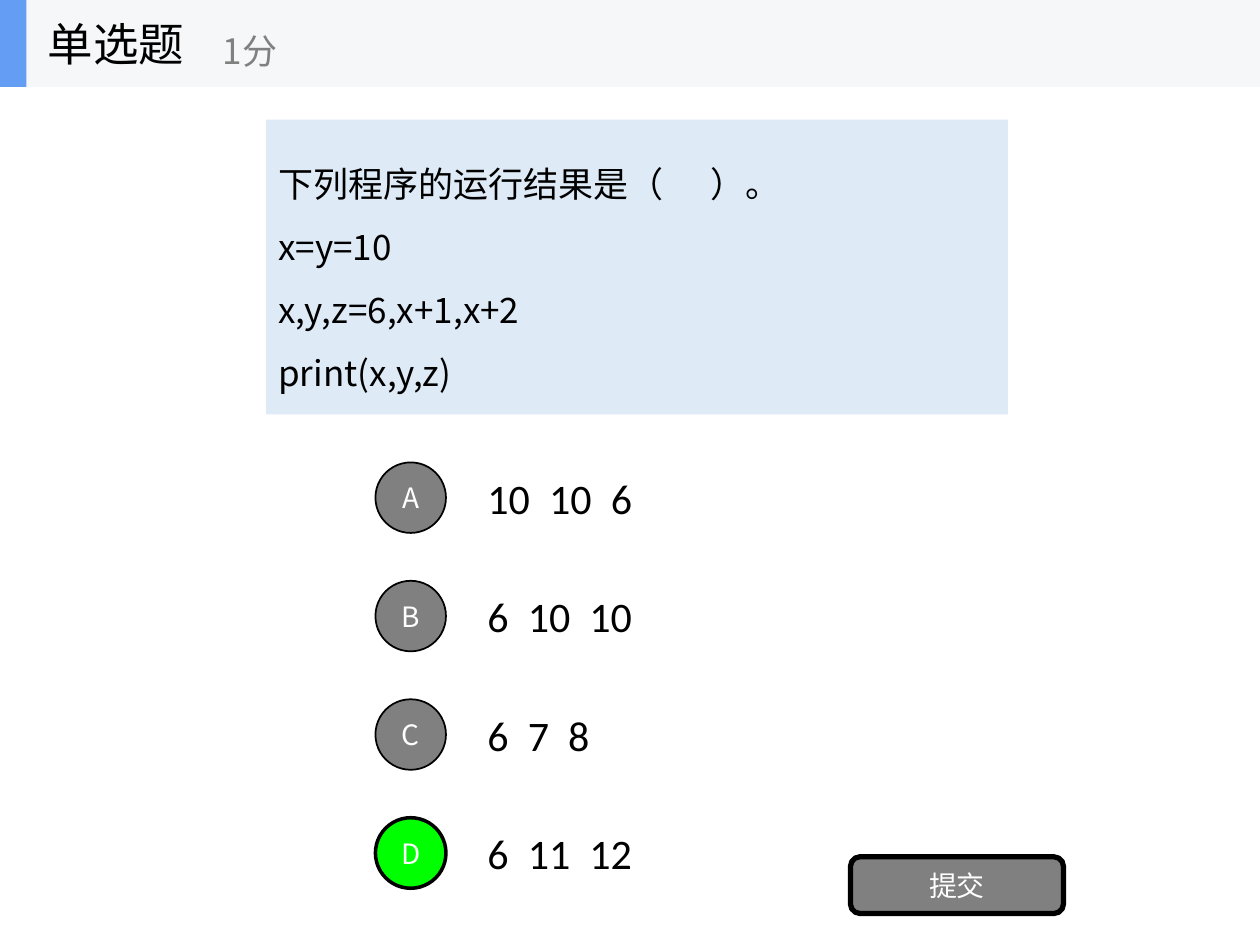
from dataclasses import dataclass

from lxml import etree
from pptx import Presentation
from pptx import util as u
from pptx.dml.color import RGBColor
from pptx.enum import shapes, text
from pptx.oxml import ns


@dataclass(frozen=True)
class Theme:
    chinese_font: str = "Noto Sans CJK SC"
    answer_font: str = "Calibri"
    black: str = "000000"
    white: str = "FFFFFF"
    gray: str = "808080"
    correct: str = "00FF00"
    question: str = "DEEBF7"
    header: str = "F6F7F8"
    accent: str = "639EF4"
    title_size: int = 26
    answer_size: int = 24
    body_size: int = 20
    button_size: int = 16


class QuizSlide:
    def __init__(self, slide, theme):
        self.slide = slide
        self.theme = theme
        self.shapes = slide.shapes

    def start_group(self):
        self.shapes = self.slide.shapes.add_group_shape().shapes

    def add_tabs(self, paragraph, stops):
        properties = paragraph._p.get_or_add_pPr()
        tab_list = etree.SubElement(properties, ns.qn("a:tabLst"))
        for stop in stops:
            tab = etree.SubElement(tab_list, ns.qn("a:tab"))
            tab.set("pos", str(u.Inches(stop)))
            tab.set("algn", "l")

    def set_text(self, shape, content, size, color, font=None, centered=False,
                 spacing=None, tabs=()):
        font = font or self.theme.chinese_font
        frame = shape.text_frame
        frame.text = content
        frame.word_wrap = True
        frame.vertical_anchor = text.MSO_ANCHOR.MIDDLE
        for paragraph in frame.paragraphs:
            if "\t" in paragraph.text:
                self.add_tabs(paragraph, tabs)
            paragraph.alignment = text.PP_ALIGN.CENTER if centered else text.PP_ALIGN.LEFT
            if spacing:
                paragraph.line_spacing = spacing
            for run in paragraph.runs:
                run.font.size = u.Pt(size)
                run.font.color.rgb = RGBColor.from_string(color)
                run.font.name = font
                east_asian = etree.SubElement(run._r.get_or_add_rPr(), ns.qn("a:ea"))
                east_asian.set("typeface", font)

    def add_box(self, kind, left, top, width, height, fill, line_width=0):
        shape = self.shapes.add_shape(
            kind, u.Inches(left), u.Inches(top), u.Inches(width), u.Inches(height))
        shape.shadow.inherit = False
        shape.fill.solid()
        shape.fill.fore_color.rgb = RGBColor.from_string(fill)
        if line_width:
            shape.line.color.rgb = RGBColor.from_string(self.theme.black)
            shape.line.width = u.Pt(line_width)
        else:
            shape.line.fill.background()
        return shape

    def add_button(self, kind, left, top, width, height, label, fill, line_width):
        button = self.add_box(kind, left, top, width, height, fill, line_width)
        self.set_text(button, label, self.theme.button_size, self.theme.white, centered=True)

    def add_label(self, left, top, width, height, content, size, color, **style):
        box = self.shapes.add_textbox(
            u.Inches(left), u.Inches(top), u.Inches(width), u.Inches(height))
        self.set_text(box, content, size, color, **style)

    def add_answer(self, top, values):
        digit_width, gap = 0.17, 0.15
        stops, position = [], 0
        for value in values[:-1]:
            position += len(value) * digit_width + gap
            stops.append(round(position, 2))
        self.add_label(3.77, top, 1.38, 0.7, "\t".join(values), self.theme.answer_size,
                       self.theme.black, font=self.theme.answer_font, tabs=stops)


def main():
    presentation = Presentation()
    presentation.slide_width = u.Inches(10)
    presentation.slide_height = u.Inches(7.5)
    theme = Theme()
    quiz = QuizSlide(presentation.slides.add_slide(presentation.slide_layouts[6]), theme)
    preset = shapes.MSO_SHAPE

    question = quiz.add_box(preset.RECTANGLE, 2.11, 0.95, 5.89, 2.34, theme.question)
    quiz.set_text(
        question,
        "下列程序的运行结果是（\t）。\nx=y=10\nx,y,z=6,x+1,x+2\nprint(x,y,z)",
        theme.body_size, theme.black, spacing=1.5, tabs=[3.43])

    answers = {
        "A": ("10", "10", "6"),
        "B": ("6", "10", "10"),
        "C": ("6", "7", "8"),
        "D": ("6", "11", "12"),
    }
    correct_letter = "D"
    first_top, pitch = 3.67, 0.94
    for row, (letter, values) in enumerate(answers.items()):
        top = first_top + row * pitch
        is_correct = letter == correct_letter
        quiz.add_answer(top - 0.07, values)
        quiz.add_button(preset.OVAL, 2.98, top, 0.56, 0.56, letter,
                        theme.correct if is_correct else theme.gray,
                        2 if is_correct else 1)

    quiz.add_button(preset.ROUNDED_RECTANGLE, 6.75, 6.8, 1.69, 0.45, "提交", theme.gray, 3)

    quiz.start_group()
    quiz.add_box(preset.RECTANGLE, 0, 0, 10, 0.69, theme.header)
    quiz.add_box(preset.RECTANGLE, 0, 0, 0.21, 0.69, theme.accent)
    quiz.add_label(0.28, 0, 2.08, 0.69, "单选题", theme.title_size, theme.black)
    quiz.add_label(1.67, 0.12, 2.5, 0.56, "1分", theme.body_size, theme.gray)

    presentation.save("out.pptx")


if __name__ == "__main__":
    main()
